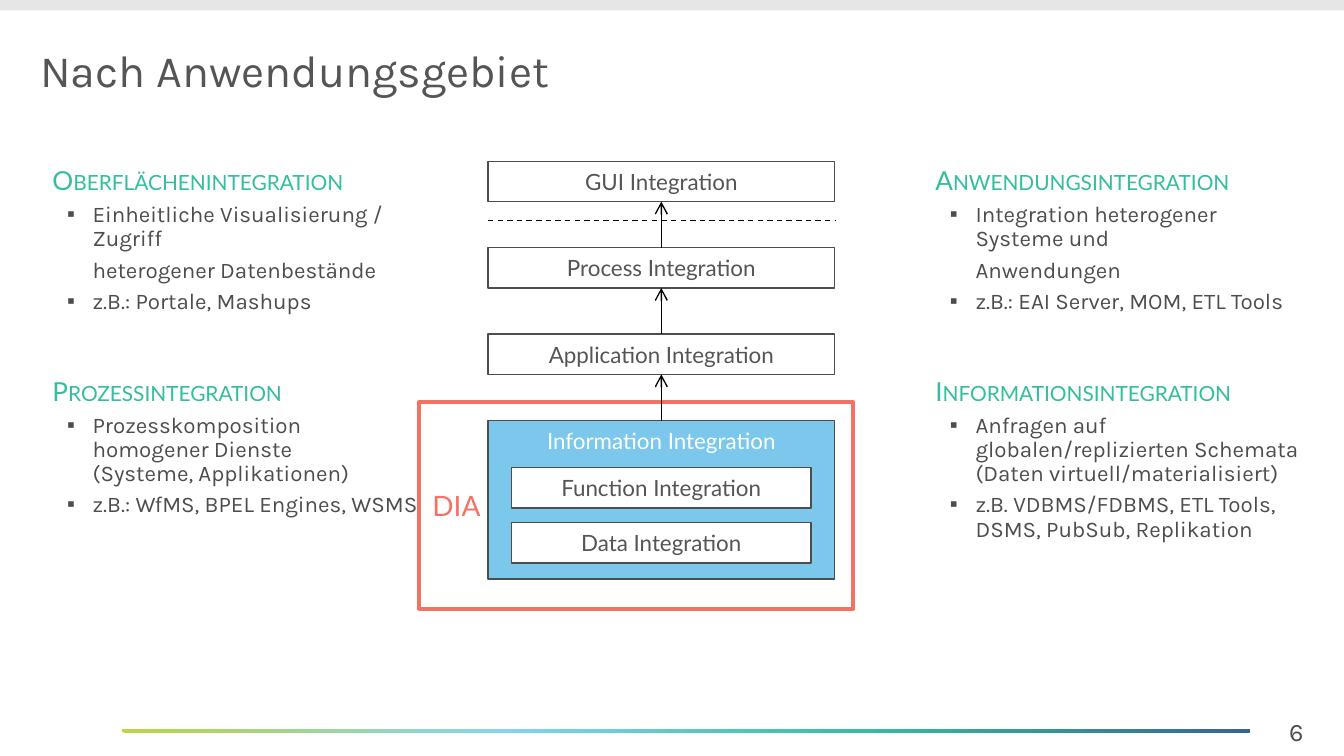
from copy import deepcopy

from lxml import etree
from pptx import Presentation
from pptx.dml.color import RGBColor
from pptx.enum.dml import MSO_LINE
from pptx.enum.shapes import MSO_CONNECTOR, MSO_SHAPE
from pptx.enum.text import MSO_ANCHOR, MSO_AUTO_SIZE, PP_ALIGN
from pptx.oxml.ns import qn
from pptx.util import Pt

RECTANGLE, STRAIGHT, DASH = MSO_SHAPE.RECTANGLE, MSO_CONNECTOR.STRAIGHT, MSO_LINE.DASH
TOP, MIDDLE = MSO_ANCHOR.TOP, MSO_ANCHOR.MIDDLE
LEFT, CENTER = PP_ALIGN.LEFT, PP_ALIGN.CENTER
FIXED = MSO_AUTO_SIZE.NONE

GREY, TITLE_GREY, TEAL = "4C4D4D", "555555", "34BD9F"
CORAL, SKY, WHITE, BLACK = "F47264", "7CC8EC", "FFFFFF", "000000"
RAINBOW = [(0, "BAD641"), (34, "83D4EE"), (66, TEAL), (100, "376591")]

LEFT_TOPICS = [
    ("Oberflächenintegration", [
        ("Einheitliche Visualisierung / Zugriff", "▪"),
        ("heterogener Datenbestände", None),
        ("z.B.: Portale, Mashups", "▪")]),
    ("Prozessintegration", [
        ("Prozesskomposition homogener Dienste \v(Systeme, Applikationen)", "▪"),
        ("z.B.: WfMS, BPEL Engines, WSMS", "▪")]),
]
RIGHT_TOPICS = [
    ("Anwendungsintegration", [
        ("Integration heterogener Systeme und", "▪"),
        ("Anwendungen", None),
        ("z.B.: EAI Server, MOM, ETL Tools", "▪")]),
    ("Informationsintegration", [
        ("Anfragen auf globalen/replizierten Schemata (Daten virtuell/materialisiert)", "▪"),
        ("z.B. VDBMS/FDBMS, ETL Tools, DSMS, PubSub, Replikation", "▪")]),
]


def rgb(color):
    """Return the colour for a hex string."""
    return RGBColor.from_string(color)


def write_text(paragraph, text, font="Lato", size=12, color=TITLE_GREY, align=LEFT,
               line=1.0, before=0, small_caps=False):
    """Fill a paragraph with text in one format."""
    paragraph.text = text
    paragraph.alignment = align
    paragraph.line_spacing = line
    paragraph.space_before, paragraph.space_after = Pt(before), Pt(0)
    for run in paragraph.runs:
        run.font.name, run.font.size = font, Pt(size)
        run.font.color.rgb = rgb(color)
        if small_caps:
            run.font._element.set("cap", "small")
    for line_break in paragraph._p.findall(qn("a:br")):
        line_break.append(deepcopy(paragraph.runs[0].font._element))


def set_indent(paragraph, margin, first=0, bullet=None):
    """Set the left margin, the first line offset and the bullet."""
    properties = paragraph._p.get_or_add_pPr()
    properties.set("marL", str(Pt(margin)))
    properties.set("indent", str(Pt(first)))
    if bullet:
        etree.SubElement(properties, qn("a:buFont")).set("typeface", "Arial")
        etree.SubElement(properties, qn("a:buChar")).set("char", bullet)
    else:
        etree.SubElement(properties, qn("a:buNone"))


def place(shape, box, anchor):
    """Move a text shape to a box and fix its frame."""
    shape.left, shape.top, shape.width, shape.height = map(Pt, box)
    frame = shape.text_frame
    frame.word_wrap, frame.auto_size, frame.vertical_anchor = True, FIXED, anchor
    return frame


def add_box(slide, box, text="", fill=None, line=None, weight=0.75, anchor=TOP, **text_format):
    """Add a rectangle with an optional label."""
    shape = slide.shapes.add_shape(RECTANGLE, *map(Pt, box))
    shape.shadow.inherit = False
    if fill:
        shape.fill.solid()
        shape.fill.fore_color.rgb = rgb(fill)
    else:
        shape.fill.background()
    if line:
        shape.line.color.rgb = rgb(line)
        shape.line.width = Pt(weight)
    else:
        shape.line.fill.background()
    if text:
        frame = place(shape, box, anchor)
        write_text(frame.paragraphs[0], text, **text_format)
    return shape


def add_line(slide, start, end, arrow=False, dash=None):
    """Add a thin black connector."""
    connector = slide.shapes.add_connector(STRAIGHT, *map(Pt, start + end))
    connector.line.color.rgb = rgb(BLACK)
    connector.line.width = Pt(0.75)
    if dash:
        connector.line.dash_style = dash
    if arrow:
        etree.SubElement(connector.line._get_or_add_ln(), qn("a:tailEnd")).set("type", "arrow")
    etree.SubElement(connector._element.spPr, qn("a:effectLst"))


def add_rainbow(slide, box):
    """Add a bar with a gradient of several colours."""
    bar = add_box(slide, box)
    bar.fill.gradient()
    bar.fill.gradient_angle = 315
    stops = bar._element.spPr.find(".//" + qn("a:gsLst"))
    for stop in list(stops):
        stops.remove(stop)
    for position, color in RAINBOW:
        stop = etree.SubElement(stops, qn("a:gs"), pos=str(position * 1000))
        etree.SubElement(stop, qn("a:srgbClr"), val=color)


def add_page_frame(slide, width, height):
    """Add the top band, the bottom bar and the page number."""
    add_box(slide, (0, 0, width, 5.6), fill="E7E6E6")
    add_rainbow(slide, (65.5, height - 14.2, 604, 1.6))
    number_box = (673.2, height - 24.8, 42.5, 22.3)
    frame = place(slide.shapes.add_textbox(0, 0, 0, 0), number_box, TOP)
    write_text(frame.paragraphs[0], "6", font="Karla", size=13.5, color=GREY, align=CENTER)


def fill_topics(placeholder, box, topics):
    """Fill a body placeholder with headings and their points."""
    frame = place(placeholder, box, TOP)
    paragraph = frame.paragraphs[0]
    for index, (heading, points) in enumerate(topics):
        if index:
            paragraph = frame.add_paragraph()
        write_text(paragraph, heading, size=14, color=TEAL, line=1.5,
                   before=24.4 if index else 7.5, small_caps=True)
        set_indent(paragraph, 6.5)
        for text, bullet in points:
            paragraph = frame.add_paragraph()
            paragraph.level = 1
            write_text(paragraph, text, font="Karla", color=GREY, line=0.9, before=3.8)
            set_indent(paragraph, 28, -13.7 if bullet else 0, bullet)


def add_layers(slide, box):
    """Add the stack of integration layers with its arrows."""
    left, top, width, _ = box
    height, pitch, inset = 21.6, 46.3, 12.6
    center, core_top = left + width / 2, top + 3 * pitch
    add_box(slide, (left - 36.8, core_top - 10, 232.6, 110.9), "DIA",
            line=CORAL, weight=2, anchor=MIDDLE, size=15, color=CORAL)
    add_box(slide, (left, core_top, width, 85), "Information Integration",
            fill=SKY, line=GREY, color=WHITE, align=CENTER)
    layers = ["GUI Integration", "Process Integration", "Application Integration"]
    parts = ["Function Integration", "Data Integration"]
    boxes = [(left, top + row * pitch, width, height) for row in range(len(layers))]
    boxes += [(left + inset, core_top + 25.3 + row * 29.4, width - 2 * inset, height)
              for row in range(len(parts))]
    for label, label_box in zip(layers + parts, boxes):
        add_box(slide, label_box, label, fill=WHITE, line=GREY, align=CENTER)
    for row in range(len(layers)):
        row_top = top + row * pitch
        add_line(slide, (center, row_top + pitch), (center, row_top + height), arrow=True)
    add_line(slide, (left, top + 31.7), (left + width, top + 31.7), dash=DASH)


def build():
    """Build the slide and save it."""
    width, height = 720, 405
    presentation = Presentation()
    presentation.slide_width, presentation.slide_height = Pt(width), Pt(height)
    slide = presentation.slides.add_slide(presentation.slide_layouts[3])
    title, left_body, right_body = slide.placeholders
    add_page_frame(slide, width, height)
    frame = place(title, (14.4, 22.3, 468, 33.8), MIDDLE)
    write_text(frame.paragraphs[0], "Nach Anwendungsgebiet", font="Karla", size=24, line=0.9)
    fill_topics(left_body, (14.4, 76.3, 218.2, 297.4), LEFT_TOPICS)
    fill_topics(right_body, (487.4, 76.3, 218.2, 297.4), RIGHT_TOPICS)
    add_layers(slide, (261.4, 86.4, 185.8, 223.9))
    presentation.save("out.pptx")


build()
